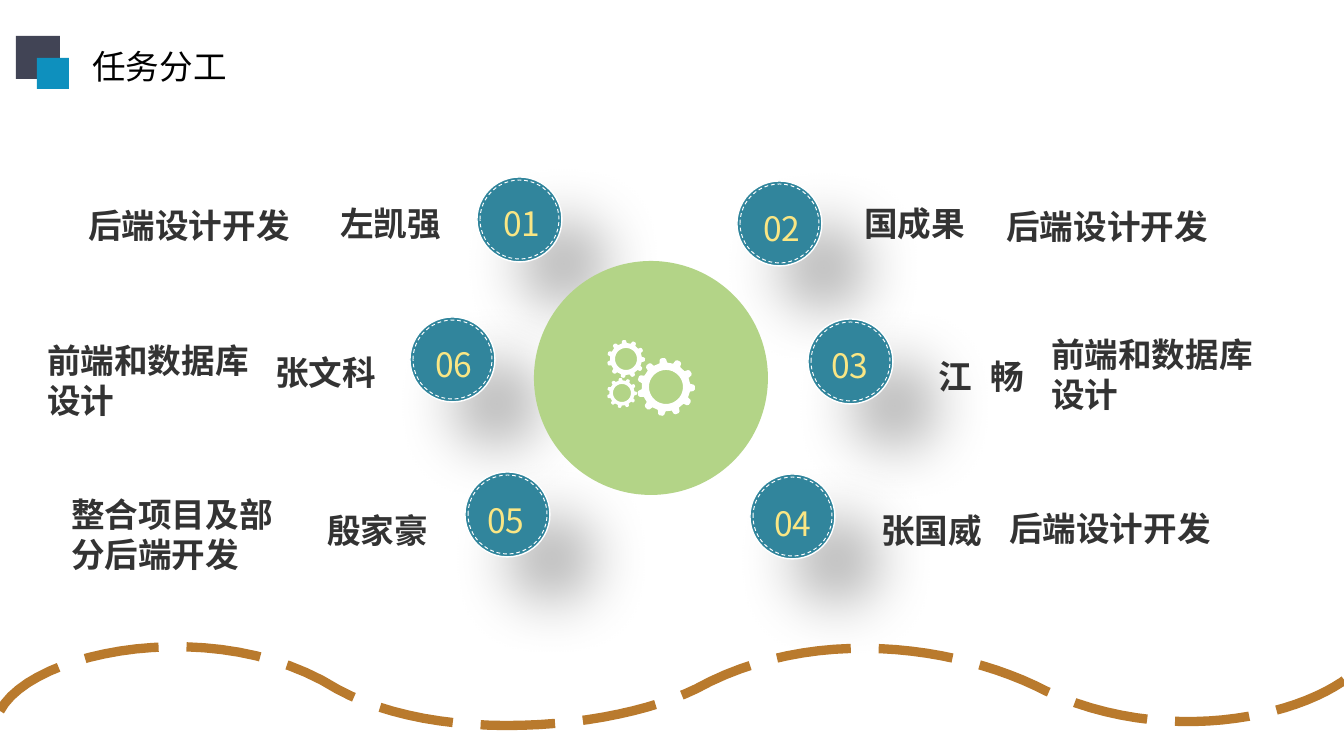
from math import cos, pi, radians, sin

from lxml import etree
from pptx import Presentation
from pptx.dml.color import RGBColor
from pptx.enum import dml, shapes, text
from pptx.oxml import ns
from pptx.util import Pt

PX = 914400 / 134.4

# number, badge (x, y), number label (x, y), name, name (x, y), task, task (x, y, width)
MEMBERS = [
    ("01", (477, 177), (503, 203), "左凯强", (327, 196), "后端设计开发", (75, 198, 231)),
    ("02", (737, 181), (763, 208), "国成果", (851, 196), "后端设计开发", (993, 199, 231)),
    ("06", (410, 317), (435, 344), "张文科", (262, 345), "前端和数据库设计", (34, 353, 231)),
    ("03", (808, 319), (831, 345), "江  畅", (925, 349), "前端和数据库设计", (1038, 347, 249)),
    ("05", (465, 472), (487, 500), "殷家豪", (314, 503), "整合项目及部分后端开发", (58, 507, 231)),
    ("04", (750, 474), (774, 503), "张国威", (868, 503), "后端设计开发", (996, 501, 231)),
]
# centre x, centre y, outer radius, hole radius
GEARS = [(666, 387, 29, 17), (626, 359, 19, 11), (622, 393, 15, 9)]
WAVE_START = (0, 711)
# two control points and the end point of each curve
WAVE = [
    ((32, 650), (218, 614), (337, 689)),
    ((438, 745), (612, 730), (696, 689)),
    ((812, 625), (957, 645), (1046, 691)),
    ((1165, 746), (1296, 718), (1349, 677)),
]


def px(value):
    return round(value * PX)


def color(value):
    return RGBColor.from_string(value)


def circle_points(x, y, radius, steps=48):
    return [(x + radius * cos(2 * pi * i / steps), y + radius * sin(2 * pi * i / steps))
            for i in range(steps)]


def gear_points(x, y, radius, teeth=11):
    """Outline with a rounded tooth pointing almost straight down."""
    profile = [(-0.28, 0.84), (-0.2, 0.96), (-0.1, 1), (0.1, 1), (0.2, 0.96), (0.28, 0.84)]
    points = []
    for tooth in range(teeth):
        for shift, reach in profile:
            angle = radians(100) + 2 * pi * (tooth + shift) / teeth
            points.append((x + radius * reach * cos(angle), y + radius * reach * sin(angle)))
    return points


def curve_points(start, curves, steps=24):
    """Sample a chain of cubic curves."""
    points = [start]
    for first, second, end in curves:
        for step in range(1, steps + 1):
            t = step / steps
            weights = ((1 - t) ** 3, 3 * t * (1 - t) ** 2, 3 * t * t * (1 - t), t ** 3)
            corners = (start, first, second, end)
            points.append(tuple(sum(w * c[axis] for w, c in zip(weights, corners))
                                for axis in (0, 1)))
        start = end
    return points


class Painter:
    heading_font = "Noto Sans CJK SC"
    number_font = "Noto Sans CJK JP"
    body_font = "Arial"
    size = 18

    def __init__(self, slide):
        self.slide = slide

    def paint(self, shape, fill=None, line=None, weight=1, dash=None):
        shape.shadow.inherit = False
        if fill:
            shape.fill.solid()
            shape.fill.fore_color.rgb = color(fill)
        else:
            shape.fill.background()
        if line:
            shape.line.color.rgb = color(line)
            shape.line.width = Pt(weight)
            if dash:
                shape.line.dash_style = dash
        else:
            shape.line.fill.background()
        return shape

    def shape(self, parent, kind, x, y, width, height, **style):
        shape = parent.shapes.add_shape(kind, px(x), px(y), px(width), px(height))
        return self.paint(shape, **style)

    def text(self, parent, content, x, y, width, height, font, fill,
             bold=False, wrap=True, middle=False, tight=False):
        box = parent.shapes.add_textbox(px(x), px(y), px(width), px(height))
        frame = box.text_frame
        frame.text = content
        frame.word_wrap = wrap
        if middle:
            frame.vertical_anchor = text.MSO_ANCHOR.MIDDLE
        if tight:
            frame.margin_left = frame.margin_right = frame.margin_top = frame.margin_bottom = 0
            frame.paragraphs[0].alignment = text.PP_ALIGN.CENTER
        run = frame.paragraphs[0].runs[0]
        run.font.size = Pt(self.size)
        run.font.bold = bold
        run.font.color.rgb = color(fill)
        run.font.name = font
        latin = run.font._element.find(ns.qn("a:latin"))
        east_asian = etree.Element(ns.qn("a:ea"), typeface=font)
        latin.addnext(east_asian)

    def outline(self, parent, contours, close=True, **style):
        contours = [[(px(x), px(y)) for x, y in contour] for contour in contours]
        builder = parent.shapes.build_freeform(*contours[0][0])
        for index, contour in enumerate(contours):
            if index:
                builder.move_to(*contour[0])
            builder.add_line_segments(contour[1:], close=close)
        return self.paint(builder.convert_to_shape(), **style)

    def drop_shadow(self, shape):
        effects = shape._element.spPr.find(ns.qn("a:effectLst"))
        shadow = etree.SubElement(effects, ns.qn("a:outerShdw"), blurRad=str(Pt(33)),
                                  dist=str(Pt(33)), dir="2700000", algn="tl", rotWithShape="0")
        tint = etree.SubElement(shadow, ns.qn("a:srgbClr"), val="000000")
        etree.SubElement(tint, ns.qn("a:alpha"), val="30000")

    def badge(self, number, spot, label_spot):
        group = self.slide.shapes.add_group_shape()
        x, y = spot
        oval = shapes.MSO_SHAPE.OVAL
        disc = self.shape(group, oval, x, y, 85, 85, fill="31859C", line="FFFFFF", weight=0.75)
        self.drop_shadow(disc)
        self.shape(group, oval, x + 3, y + 3, 79, 79, line="FFFFFF", weight=0.5,
                   dash=dml.MSO_LINE.DASH)
        self.text(group, number, *label_spot, 38, 40, self.number_font, "FAE684",
                  wrap=False, tight=True)

    def caption(self, content, x, y, width=138):
        self.text(self.slide, content, x, y, width, 54, self.body_font, "333333",
                  bold=True, middle=True)

    def heading(self, content):
        self.text(self.slide, content, 79, 39, 163, 54, self.heading_font, "000000", wrap=False)
        group = self.slide.shapes.add_group_shape()
        square = shapes.MSO_SHAPE.RECTANGLE
        self.shape(group, square, 16, 36, 44, 43, fill="414455")
        self.shape(group, square, 37, 58, 32, 31, fill="0E90BE")

    def hub(self):
        group = self.slide.shapes.add_group_shape()
        self.shape(group, shapes.MSO_SHAPE.OVAL, 534, 261, 234, 234, fill="B3D487")
        for x, y, radius, hole in GEARS:
            contours = [gear_points(x, y, radius), circle_points(x, y, hole)]
            self.outline(group, contours, fill="FFFFFF")


def main():
    presentation = Presentation()
    presentation.slide_width = px(1344)
    presentation.slide_height = px(756)
    slide = presentation.slides.add_slide(presentation.slide_layouts[6])
    painter = Painter(slide)
    painter.heading("任务分工")
    for number, spot, label_spot, *_ in MEMBERS:
        painter.badge(number, spot, label_spot)
    painter.hub()
    for _, _, _, name, name_spot, task, task_spot in MEMBERS:
        painter.caption(name, *name_spot)
        painter.caption(task, *task_spot)
    painter.outline(slide, [curve_points(WAVE_START, WAVE)], close=False,
                    line="B97A2D", weight=5, dash=dml.MSO_LINE.LONG_DASH)
    presentation.save("out.pptx")


if __name__ == "__main__":
    main()
